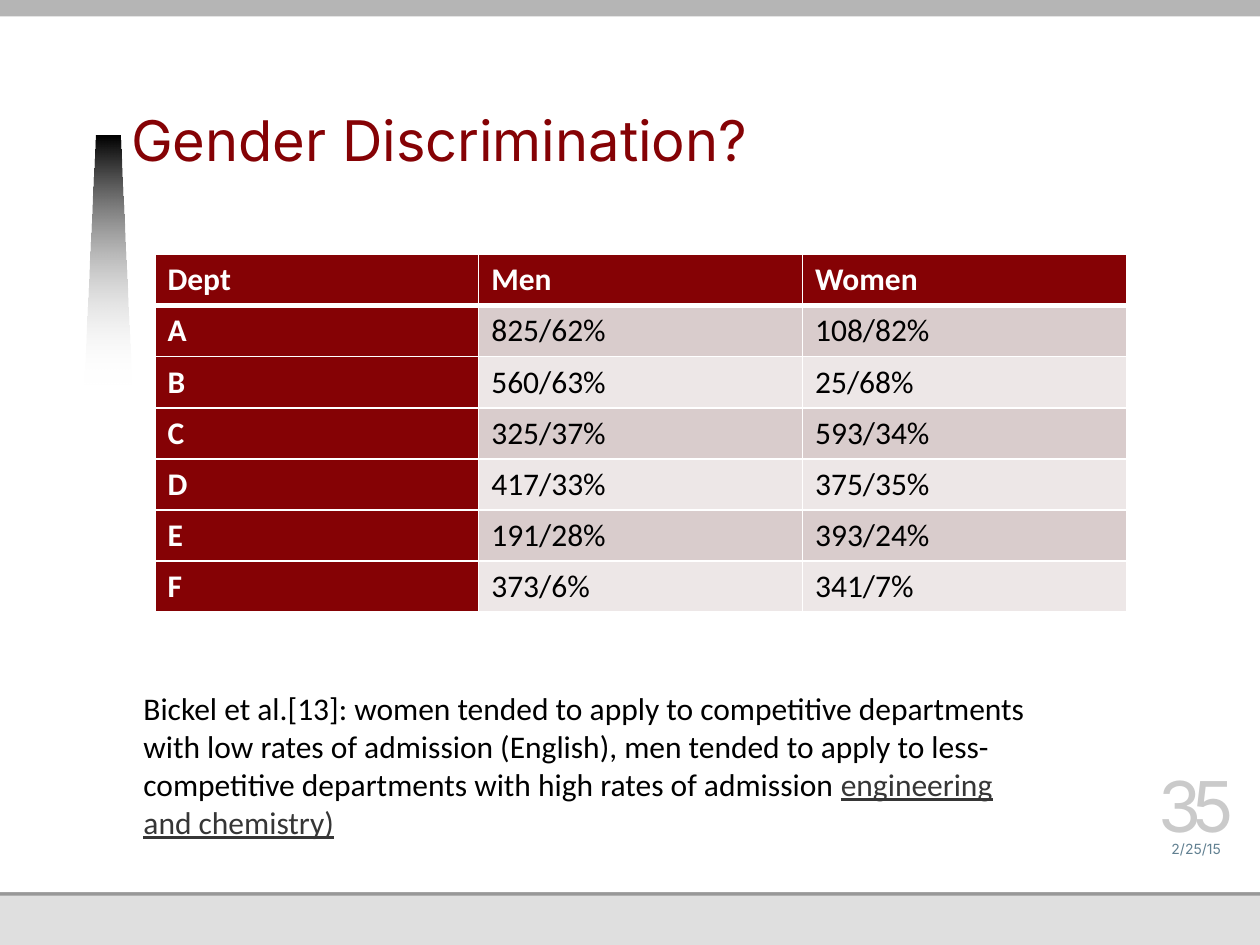
from lxml import etree
from pptx import Presentation
from pptx.dml.color import RGBColor
from pptx.enum.shapes import MSO_SHAPE
from pptx.enum.text import MSO_ANCHOR, PP_ALIGN
from pptx.oxml.ns import qn
from pptx.util import Inches, Pt

RECTANGLE = MSO_SHAPE.RECTANGLE
TOP, BOTTOM = MSO_ANCHOR.TOP, MSO_ANCHOR.BOTTOM
LEFT, CENTER = PP_ALIGN.LEFT, PP_ALIGN.CENTER

BLACK = RGBColor(0x00, 0x00, 0x00)
WHITE = RGBColor(0xFF, 0xFF, 0xFF)
MAROON = RGBColor(0x85, 0x02, 0x05)
DARK_BAND = RGBColor(0xD9, 0xCC, 0xCC)
LIGHT_BAND = RGBColor(0xED, 0xE7, 0xE7)
FOOTER_GRAY = RGBColor(0xDF, 0xDF, 0xDF)
RULE_GRAY = RGBColor(0x98, 0x98, 0x98)
TOP_GRAY = RGBColor(0xB5, 0xB5, 0xB5)
NUMBER_GRAY = RGBColor(0xCA, 0xCA, 0xCA)
DATE_BLUE = RGBColor(0x61, 0x80, 0x91)
LINK_GRAY = RGBColor(0x36, 0x36, 0x36)


def add_span(para, text, font="Calibri", size=18, color=BLACK, bold=False,
             underline=False, spacing=None):
    """Add one formatted run; spacing is in points."""
    span = para.add_run()
    span.text = text
    span.font.name = font
    span.font.size = Pt(size)
    span.font.color.rgb = color
    span.font.bold = bold
    span.font.underline = underline
    if spacing is not None:
        span.font._element.set("spc", str(spacing * 100))


def add_box(left, top, width, height, margins=(0, 0, 0, 0), anchor=BOTTOM, align=LEFT):
    """Add a wrapping text box and return its first paragraph."""
    box = page.shapes.add_textbox(Inches(left), Inches(top), Inches(width), Inches(height))
    frame = box.text_frame
    frame.word_wrap = True
    frame.vertical_anchor = anchor
    (frame.margin_left, frame.margin_top,
     frame.margin_right, frame.margin_bottom) = [Inches(side) for side in margins]
    para = frame.paragraphs[0]
    para.alignment = align
    return para


deck = Presentation()
deck.slide_width, deck.slide_height = Inches(10), Inches(7.5)
page = deck.slides.add_slide(deck.slide_layouts[6])

# Background: footer, thin rule, white page, top band
for left, top, width, height, color in [
    (0, 0, 10, 7.5, FOOTER_GRAY),
    (0, 1.78, 10, 5.33, RULE_GRAY),
    (0, 0, 10, 7.08, WHITE),
    (0, -0.04, 10.17, 0.17, TOP_GRAY),
]:
    panel = page.shapes.add_shape(
        RECTANGLE, Inches(left), Inches(top), Inches(width), Inches(height))
    panel.shadow.inherit = False
    panel.fill.solid()
    panel.fill.fore_color.rgb = color
    panel.line.fill.background()

# Tapered bar fading out downwards
outline = page.shapes.build_freeform(Inches(0.67), Inches(3.05))
outline.add_line_segments(
    [(Inches(x), Inches(y)) for x, y in [(0.76, 1.08), (0.95, 1.08), (1.04, 3.05)]],
    close=True)
taper = outline.convert_to_shape()
taper.shadow.inherit = False
taper.line.fill.background()
taper.fill.gradient()
taper.fill.gradient_angle = 270
for stop, color in zip(taper.fill.gradient_stops, (BLACK, WHITE)):
    stop.color.rgb = color
end_color = taper._element.findall(".//" + qn("a:gs"))[-1][0]
etree.SubElement(end_color, qn("a:alpha"), val="0")

# Title
title = add_box(1.04, 0.34, 6.87, 1.08, margins=(0, 0, 0, 0.05))
title.line_spacing = Pt(34)
add_span(title, "Gender Discrimination?", font="Inter", size=32, color=MAROON)

# Admissions table
ADMISSIONS = [
    ("Dept", "Men", "Women"),
    ("A", "825/62%", "108/82%"),
    ("B", "560/63%", "25/68%"),
    ("C", "325/37%", "593/34%"),
    ("D", "417/33%", "375/35%"),
    ("E", "191/28%", "393/24%"),
    ("F", "373/6%", "341/7%"),
]
table = page.shapes.add_table(
    len(ADMISSIONS), 3, Inches(1.23), Inches(2.02), Inches(7.71), Inches(2.84)).table
for row_index, row in enumerate(ADMISSIONS):
    for column_index, text in enumerate(row):
        cell = table.cell(row_index, column_index)
        heading = row_index == 0 or column_index == 0
        # White borders, thicker under the header row
        widths = {"L": 1, "R": 1, "T": 3 if row_index == 1 else 1,
                  "B": 3 if row_index == 0 else 1}
        properties = cell._tc.get_or_add_tcPr()
        for side, width in widths.items():
            border = etree.SubElement(properties, qn("a:ln" + side), w=str(Pt(width)))
            paint = etree.SubElement(border, qn("a:solidFill"))
            etree.SubElement(paint, qn("a:srgbClr"), val=str(WHITE))
        cell.fill.solid()
        band = DARK_BAND if row_index % 2 else LIGHT_BAND
        cell.fill.fore_color.rgb = MAROON if heading else band
        add_span(cell.text_frame.paragraphs[0], text,
                 color=WHITE if heading else BLACK, bold=heading)

# Date and page number
date = add_box(9.13, 6.58, 0.73, 0.22, align=CENTER)
add_span(date, "2/25/15", font="Inter", size=8, color=DATE_BLUE)
number = add_box(9.13, 6.16, 0.73, 0.56, align=CENTER)
add_span(number, "35", font="Inter", size=40, color=NUMBER_GRAY, spacing=-5)

# Explanation
note = add_box(1.04, 5.42, 7.24, 1.31, margins=(0.1, 0.05, 0.1, 0.05), anchor=TOP)
add_span(note, "Bickel et al.[13]: women tended to apply to competitive departments "
               "with low rates of admission (English), men tended to apply to "
               "less-competitive departments with high rates of admission ")
add_span(note, "engineering and chemistry)", color=LINK_GRAY, underline=True)

deck.save("out.pptx")
